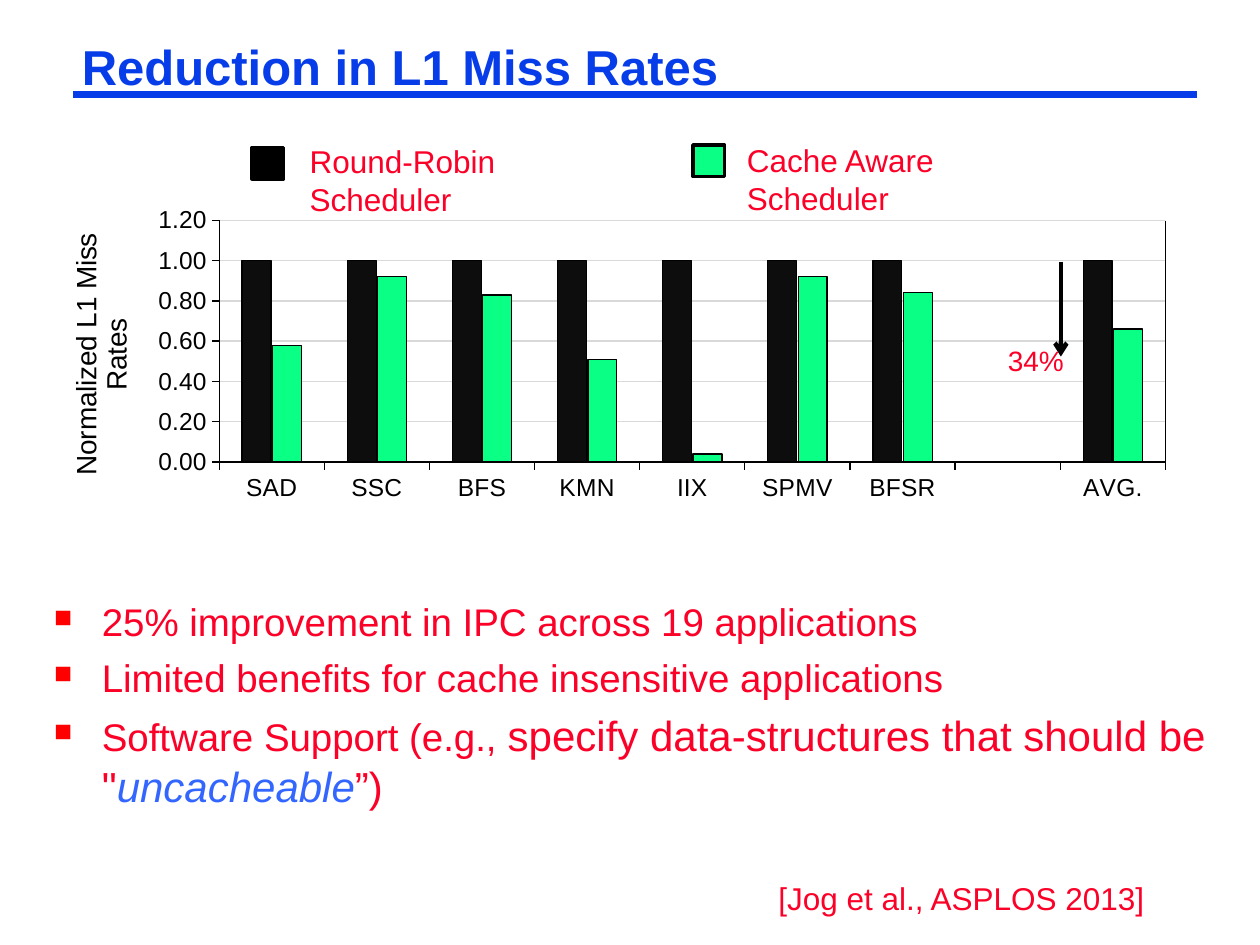
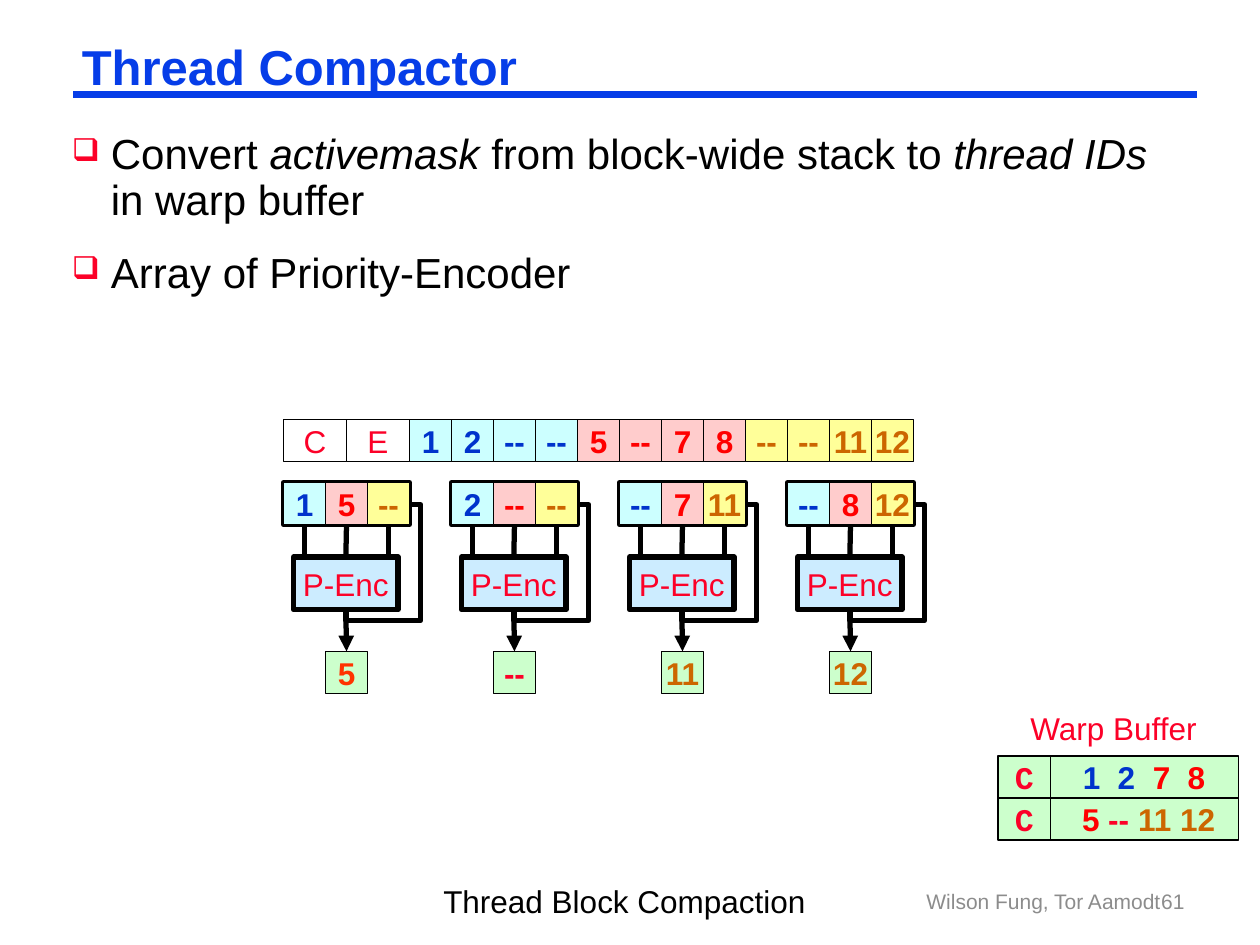
from dataclasses import dataclass
from typing import Optional, Sequence

from lxml import etree
from pptx import Presentation
from pptx.chart.data import CategoryChartData
from pptx.dml.color import RGBColor
from pptx.enum.chart import XL_CHART_TYPE as ChartType, XL_TICK_MARK as TickMark
from pptx.enum.shapes import MSO_CONNECTOR as ConnectorType, MSO_SHAPE as ShapeType
from pptx.enum.text import MSO_ANCHOR as Anchor, PP_ALIGN as Align
from pptx.oxml import parse_xml
from pptx.oxml.ns import nsdecls, qn
from pptx.util import Inches, Pt

BLUE, RED, BLACK, WHITE, GRAY = "063DE8", "FC0128", "000000", "FFFFFF", "8C8C8C"
BRIGHT_GREEN, PALE_GREEN, ENCODER_BLUE = "0AFF85", "CCFFCC", "CCECFF"
NAVY, PURE_RED, ORANGE = "0033CC", "FF0000", "CC6600"
THIN, THICK = 0.75, 3
CELL = 1 / 3


@dataclass
class Style:
    size: float = 18
    color: str = RED
    bold: bool = False
    font: str = "Arial"


@dataclass
class Run:
    """Text that may differ from its paragraph's style."""
    text: str
    color: Optional[str] = None
    size: Optional[float] = None
    italic: Optional[bool] = None
    tracking: float = 0


@dataclass
class Bullet:
    character: str
    color: str
    percent: int
    indent: float


@dataclass
class Box:
    left: float
    top: float
    width: float
    height: float

    def lengths(self) -> list:
        return [Inches(n) for n in (self.left, self.top, self.width, self.height)]


@dataclass
class Warp:
    fill: str
    color: str
    lanes: Sequence[str]


BOLD = Style(bold=True)
WARPS = [
    Warp("CCFFFF", NAVY, ("1", "2", "--", "--")),
    Warp("FFCCCC", PURE_RED, ("5", "--", "7", "8")),
    Warp("FFFF99", ORANGE, ("--", "--", "11", "12")),
]
ENCODED = [("5", "FF3300"), ("--", RED), ("11", ORANGE), ("12", ORANGE)]
MISS_RATES = {
    "SAD": 0.58, "SSC": 0.92, "BFS": 0.83, "KMN": 0.51, "IIX": 0.04,
    "SPMV": 0.92, "BFSR": 0.84, "": None, "AVG.": 0.66,
}


def rgb(color: str) -> RGBColor:
    return RGBColor.from_string(color)


def set_bullet(paragraph, bullet: Bullet) -> None:
    properties = paragraph._p.get_or_add_pPr()
    indent = Inches(bullet.indent)
    properties.set("marL", str(indent))
    properties.set("indent", str(-indent))
    for xml in (
        f'<a:buClr {nsdecls("a")}><a:srgbClr val="{bullet.color}"/></a:buClr>',
        f'<a:buSzPct {nsdecls("a")} val="{bullet.percent * 1000}"/>',
        f'<a:buChar {nsdecls("a")} char="{bullet.character}"/>',
    ):
        properties.append(parse_xml(xml))


def style_font(font, style: Style) -> None:
    font.name, font.size, font.bold = style.font, Pt(style.size), style.bold
    font.color.rgb = rgb(style.color)


def write(frame, paragraphs: Sequence[Sequence[Run]], style: Style, align=Align.LEFT,
          bullet: Optional[Bullet] = None, gap: float = 0, line_spacing: float = 1) -> None:
    """Fill a text frame; gap is the space in points between paragraphs."""
    for index, runs in enumerate(paragraphs):
        paragraph = frame.add_paragraph() if index else frame.paragraphs[0]
        if bullet:
            set_bullet(paragraph, bullet)
        paragraph.alignment = align
        if line_spacing != 1:
            paragraph.line_spacing = line_spacing
        if index and gap:
            paragraph.space_before = Pt(gap)
        style_font(paragraph.font, style)
        for item in runs:
            run = paragraph.add_run()
            run.text = item.text
            if item.color:
                run.font.color.rgb = rgb(item.color)
            if item.size:
                run.font.size = Pt(item.size)
            if item.italic:
                run.font.italic = True
            if item.tracking:
                run.font._element.set("spc", str(int(item.tracking * 100)))


def add_text(slide, box: Box, paragraphs: Sequence[Sequence[Run]], style: Style = Style(),
             anchor=Anchor.TOP, tight: bool = False, **layout) -> None:
    frame = slide.shapes.add_textbox(*box.lengths()).text_frame
    frame.word_wrap = True
    frame.vertical_anchor = anchor
    if tight:
        frame.margin_left = frame.margin_right = Inches(0.07)
        frame.margin_top = frame.margin_bottom = Inches(0.03)
    write(frame, paragraphs, style, **layout)


def add_rectangle(slide, box: Box, fill: Optional[str], line_width: float = THIN,
                  runs: Sequence[Run] = (), style: Style = BOLD):
    shape = slide.shapes.add_shape(ShapeType.RECTANGLE, *box.lengths())
    shape.shadow.inherit = False
    if fill:
        shape.fill.solid()
        shape.fill.fore_color.rgb = rgb(fill)
    else:
        shape.fill.background()
    shape.line.color.rgb = rgb(BLACK)
    shape.line.width = Pt(line_width)
    if runs:
        shape.text_frame.word_wrap = False
        shape.text_frame.vertical_anchor = Anchor.MIDDLE
        write(shape.text_frame, [runs], style, Align.CENTER)
    return shape


def add_line(slide, start: tuple, end: tuple, width: float = THICK, color: str = BLACK,
             arrow: str = "", kind=ConnectorType.STRAIGHT):
    connector = slide.shapes.add_connector(kind, *(Inches(n) for n in (*start, *end)))
    connector.line.color.rgb = rgb(color)
    connector.line.width = Pt(width)
    if arrow:
        etree.SubElement(connector.line._get_or_add_ln(), qn("a:tailEnd"), type=arrow)
    etree.SubElement(connector._element.spPr, qn("a:effectLst"))
    return connector


def add_titled_slide(presentation, title: str):
    slide = presentation.slides.add_slide(presentation.slide_layouts[6])
    add_line(slide, (0.58, 0.75), (9.5, 0.75), 4.5, BLUE)
    add_text(slide, Box(0.58, 0.33, 8.92, 0.46), [[Run(title)]], Style(28, BLUE, True),
             anchor=Anchor.BOTTOM, tight=True, line_spacing=0.87)
    return slide


def set_plot_layout(chart, left: float, top: float, width: float, height: float) -> None:
    """Fix the inner plot area, in fractions of the chart."""
    plot_area = chart._chartSpace.chart.plotArea
    for old in plot_area.findall(qn("c:layout")):
        plot_area.remove(old)
    layout = etree.Element(qn("c:layout"))
    manual = etree.SubElement(layout, qn("c:manualLayout"))
    for name, value in (("layoutTarget", "inner"), ("xMode", "edge"), ("yMode", "edge"),
                        ("x", left), ("y", top), ("w", width), ("h", height)):
        etree.SubElement(manual, qn(f"c:{name}"), val=str(value))
    plot_area.insert(0, layout)


def add_miss_rate_chart(slide) -> None:
    data = CategoryChartData(number_format="0.00")
    data.categories = list(MISS_RATES)
    data.add_series("Series 1", [None if rate is None else 1 for rate in MISS_RATES.values()])
    data.add_series("Series 2", list(MISS_RATES.values()))
    box = Box(0.5, 1.17, 8.92, 3)
    chart = slide.shapes.add_chart(ChartType.COLUMN_CLUSTERED, *box.lengths(), data).chart
    chart.has_legend = chart.has_title = False
    style_font(chart.font, Style(14, BLACK))
    set_plot_layout(chart, 0.139, 0.193, 0.842, 0.64)

    plot = chart.plots[0]
    plot.gap_width, plot.overlap, plot.vary_by_categories = 158, -5, False
    for series, color in zip(plot.series, ("0D0D0D", BRIGHT_GREEN)):
        series.format.fill.solid()
        series.format.fill.fore_color.rgb = rgb(color)
        series.format.line.color.rgb = rgb(BLACK)
        series.format.line.width = Pt(THIN)

    rates = chart.value_axis
    for axis in (chart.category_axis, rates):
        axis.major_tick_mark, axis.minor_tick_mark = TickMark.OUTSIDE, TickMark.NONE
        axis.format.line.color.rgb = rgb(BLACK)
        axis.format.line.width = Pt(THIN)
    rates.minimum_scale, rates.maximum_scale, rates.major_unit = 0, 1.2, 0.2
    rates.tick_labels.number_format = "0.00"
    rates.tick_labels.number_format_is_linked = False
    rates.major_gridlines.format.line.color.rgb = rgb("D9D9D9")
    rates.major_gridlines.format.line.width = Pt(THIN)
    write(rates.axis_title.text_frame, [[Run("Normalized L1 Miss Rates")]],
          Style(16, BLACK), Align.CENTER)


def build_miss_rates(presentation) -> None:
    slide = add_titled_slide(presentation, "Reduction in L1 Miss Rates")
    add_text(slide, Box(0.33, 4.7, 9.42, 1.8), [
        [Run("25% improvement in IPC across 19 applications")],
        [Run("Limited benefits for cache insensitive applications")],
        [Run("Software Support (e.g., "), Run('specify data-structures that should be "', size=24),
         Run("uncacheable", "3366FF", 24, True), Run("”)", size=24)],
    ], Style(22), bullet=Bullet("■", PURE_RED, 65, 0.38), gap=5.5)
    add_miss_rate_chart(slide)
    add_line(slide, (9.25, 1.75), (9.25, 3.67), THIN)
    add_line(slide, (8.42, 2.08), (8.42, 2.83), 2.5, arrow="arrow")
    add_text(slide, Box(7.9, 2.68, 0.67, 0.37), [[Run("34%")]], Style(16))
    add_rectangle(slide, Box(2, 1.17, 0.25, 0.25), BLACK, 2)
    add_rectangle(slide, Box(5.5, 1.15, 0.25, 0.25), BRIGHT_GREEN, 2)
    add_text(slide, Box(2.36, 1.08, 1.83, 0.71), [[Run("Round-Robin Scheduler")]])
    add_text(slide, Box(5.83, 1.07, 3.42, 0.71), [[Run("Cache Aware")], [Run("Scheduler")]])
    add_text(slide, Box(6.08, 6.93, 3.33, 0.4), [[Run("[Jog et al., ASPLOS 2013]")]])


def add_cell(slide, left: float, top: float, text: str, fill: str, color: str):
    return add_rectangle(slide, Box(left, top, CELL, CELL), fill, runs=[Run(text, color)])


def add_feedback_wire(slide, center: float) -> None:
    """Elbow from under an encoder, around its right side, to its lane frame."""
    wire = add_line(slide, (center + 0.68, 4.69), (center - 0.17, 4.17), kind=ConnectorType.ELBOW)
    properties = wire._element.spPr
    properties.find(qn("a:xfrm")).set("rot", "5400000")
    geometry = properties.find(qn("a:prstGeom"))
    geometry.set("prst", "bentConnector4")
    guides = geometry.find(qn("a:avLst"))
    if guides is None:
        guides = etree.SubElement(geometry, qn("a:avLst"))
    for name, value in (("adj1", -8300), ("adj2", 114000)):
        etree.SubElement(guides, qn("a:gd"), name=name, fmla=f"val {value}")


def add_encoder(slide, lane: int) -> None:
    left, top = 2.25 + lane * 4 * CELL, 3.83
    center = left + 0.5
    encoder = add_rectangle(slide, Box(center - 0.42, 4.42, 0.83, 0.42), ENCODER_BLUE, THICK,
                            [Run("P-Enc")], Style())
    frame = add_rectangle(slide, Box(left, top, 1, CELL), None, THICK)
    text, color = ENCODED[lane]
    output = add_cell(slide, center - CELL / 2, 5.17, text, PALE_GREEN, color)
    arrow = add_line(slide, (center, 4.83), (center, 5.17), arrow="triangle")
    arrow.begin_connect(encoder, 2)
    arrow.end_connect(output, 0)
    add_feedback_wire(slide, center)
    for offset in (-CELL, 0, CELL):
        wire = add_line(slide, (center + offset, 4.17), (center + offset, 4.42))
        if not offset:
            wire.begin_connect(frame, 2)
            wire.end_connect(encoder, 0)
    for index, warp in enumerate(WARPS):
        add_cell(slide, left + index * CELL, top, warp.lanes[lane], warp.fill, warp.color)


def build_thread_compactor(presentation) -> None:
    slide = add_titled_slide(presentation, "Thread Compactor")
    add_text(slide, Box(0.5, 1.03, 9, 1.83), [
        [Run("Convert "), Run("activemask ", italic=True), Run("from block-wide stack to "),
         Run("thread IDs", italic=True), Run(" in warp buffer")],
        [Run("Array of Priority-Encoder")],
    ], Style(24, BLACK), tight=True, bullet=Bullet("❑", RED, 75, 0.31), gap=16, line_spacing=0.9)
    for box, text in ((Box(7.06, 6.95, 2.25, 0.4), "Wilson Fung, Tor Aamodt"),
                      (Box(7.17, 6.95, 2.33, 0.4), "61")):
        add_text(slide, box, [[Run(text)]], Style(12, GRAY), Anchor.MIDDLE, align=Align.RIGHT)
    add_text(slide, Box(3.42, 6.95, 3.17, 0.4), [[Run("Thread Block Compaction")]],
             Style(color=BLACK))

    for lane in range(len(ENCODED)):
        add_encoder(slide, lane)
    for index, text in enumerate("CE"):
        add_rectangle(slide, Box(2.25 + index / 2, 3.33, 0.5, CELL), WHITE,
                      runs=[Run(text)], style=Style())
    for index, warp in enumerate(WARPS):
        for lane, text in enumerate(warp.lanes):
            add_cell(slide, 3.25 + (4 * index + lane) * CELL, 3.33, text, warp.fill, warp.color)

    add_text(slide, Box(8.08, 5.58, 1.53, 0.4), [[Run("Warp Buffer")]])
    buffer_rows = [
        ([Run("1 2 ", NAVY, tracking=2.5), Run("7 8", PURE_RED, tracking=2.5)], 0.1),
        ([Run("5", PURE_RED), Run(" -- "), Run("11 12", ORANGE)], 0.17),
    ]
    for index, (runs, margin) in enumerate(buffer_rows):
        top = 6 + index * CELL
        threads = add_rectangle(slide, Box(8.33, top, 1.5, CELL), PALE_GREEN, runs=runs)
        threads.text_frame.margin_left = Inches(margin)
        add_rectangle(slide, Box(7.92, top, 0.42, CELL), PALE_GREEN, runs=[Run("C")],
                      style=Style(bold=True, font="Courier New"))


def main() -> None:
    presentation = Presentation()
    presentation.slide_width, presentation.slide_height = Inches(10), Inches(7.5)
    build_miss_rates(presentation)
    build_thread_compactor(presentation)
    presentation.save("out.pptx")


if __name__ == "__main__":
    main()
